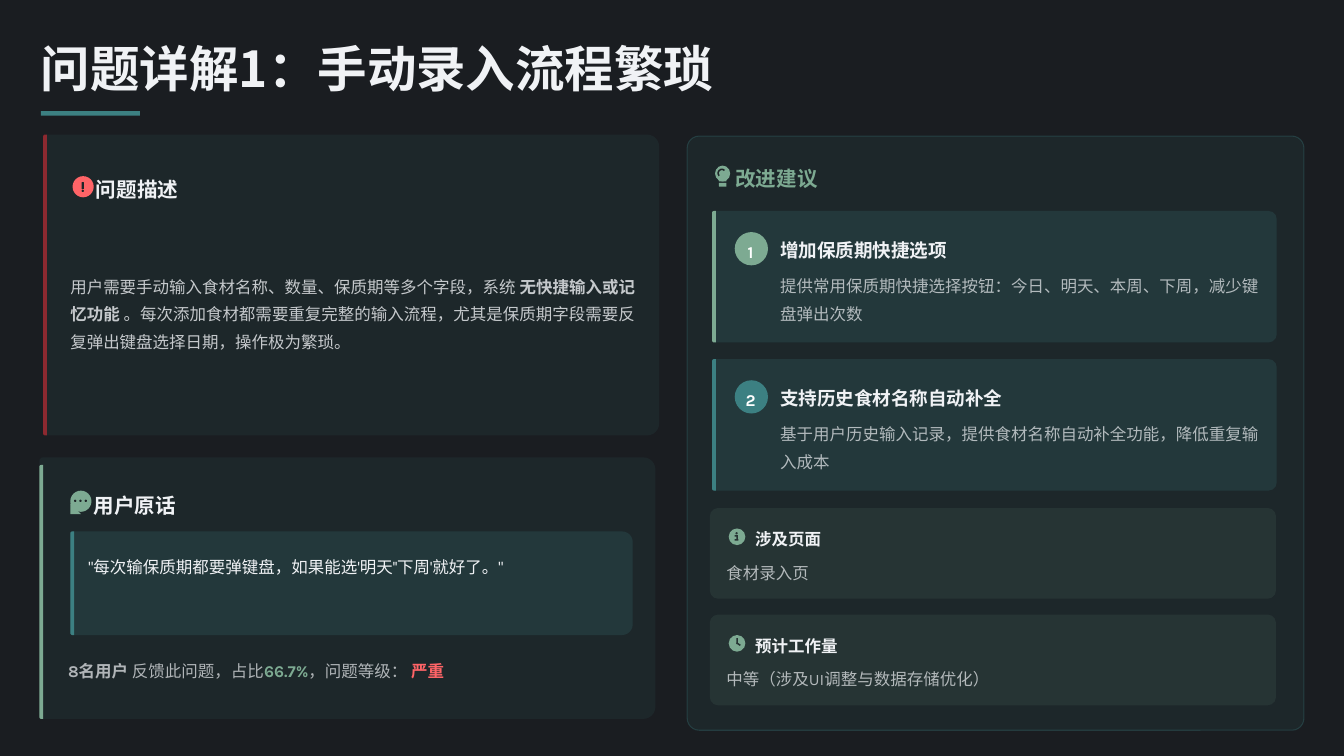
"""Build the slide on the tedious manual entry flow."""
import pptx
import pptx.util
import pptx.dml.color
import pptx.enum.shapes
import pptx.enum.text
import pptx.oxml.ns
from lxml import etree

KIND = pptx.enum.shapes.MSO_SHAPE
OVAL, RECT, ROUND = KIND.OVAL, KIND.RECTANGLE, KIND.ROUNDED_RECTANGLE
INK, TEAL, SAGE, RED, WHITE = "F0F2F5", "3C8082", "7DAA92", "FF6467", "FFFFFF"
DARK, MOSS = "1E2628", "263333"
SANS = "Noto Sans CJK SC"
BODY = 15.7

TITLE = "问题详解1：手动录入流程繁琐"
HEADS = [
    ("问题描述", 1.27, 2.27, 0.4, INK),
    ("用户原话", 1.24, 6.41, 0.47, INK),
    ("改进建议", 9.73, 2.14, 0.38, SAGE),
]
ISSUE = [
    ("用户需要手动输入食材名称、数量、保质期等多个字段，系统", INK, 80, False),
    (" 无快捷输入或记忆功能 ", INK, 80, True),
    ("。每次添加食材都需要重复完整的输入流程，尤其是保质期字段需要反复弹出键盘选择日期，操作极为繁琐。", INK, 80, False),
]
QUOTE = "\"每次输保质期都要弹键盘，如果能选'明天''下周'就好了。\""
STATS = [
    ("8名用户 ", INK, 70, True),
    ("反馈此问题，占比", INK, 70, False),
    ("66.7%", SAGE, 100, True),
    ("，问题等级：", INK, 70, False),
    (" 严重", RED, 100, True),
]
STEPS = [
    ("增加保质期快捷选项", "提供常用保质期快捷选择按钮：今日、明天、本周、下周，减少键盘弹出次数", SAGE),
    ("支持历史食材名称自动补全", "基于用户历史输入记录，提供食材名称自动补全功能，降低重复输入成本", TEAL),
]
INFO = [("涉及页面", "食材录入页"), ("预计工作量", "中等（涉及UI调整与数据存储优化）")]

ALERT = [
    (OVAL, 0, 0, 0.28, 0.28, RED, 0),
    (ROUND, 0.12, 0.08, 0.03, 0.09, DARK, 0),
    (OVAL, 0.12, 0.18, 0.03, 0.03, DARK, 0),
]
CHAT = [
    (KIND.RIGHT_TRIANGLE, 0, 0.17, 0.14, 0.14, SAGE, 0),
    (OVAL, 0, 0, 0.28, 0.28, SAGE, 0),
] + [(OVAL, 0.05 + 0.07 * n, 0.12, 0.03, 0.03, DARK, 0) for n in range(3)]
BULB = [
    (OVAL, 0, 0, 0.2, 0.21, SAGE, 0),
    (RECT, 0.05, 0.17, 0.1, 0.04, SAGE, 0),
    (KIND.ROUND_2_SAME_RECTANGLE, 0.05, 0.23, 0.1, 0.05, SAGE, 180),
    (KIND.BLOCK_ARC, 0.03, 0.04, 0.12, 0.12, DARK, -45),
]
NOTE = [
    (OVAL, 0, 0, 0.22, 0.22, SAGE, 0),
    (OVAL, 0.09, 0.05, 0.03, 0.03, MOSS, 0),
    (RECT, 0.08, 0.09, 0.04, 0.02, MOSS, 0),
    (RECT, 0.1, 0.09, 0.02, 0.06, MOSS, 0),
    (RECT, 0.08, 0.14, 0.05, 0.02, MOSS, 0),
]
CLOCK = [
    (OVAL, 0, 0, 0.22, 0.22, SAGE, 0),
    (RECT, 0.1, 0.04, 0.02, 0.08, MOSS, 0),
    (RECT, 0.1, 0.11, 0.06, 0.02, MOSS, 35),
]

deck = pptx.Presentation()
deck.slide_width = pptx.util.Inches(17.78)
deck.slide_height = pptx.util.Inches(10)
slide = deck.slides.add_slide(deck.slide_layouts[6])


def paint(fill, color, alpha=100):
    """Set a solid fill with an optional opacity in percent."""
    fill.solid()
    fill.fore_color.rgb = pptx.dml.color.RGBColor.from_string(color)
    if alpha < 100:
        node = next(fill._xPr.iter(pptx.oxml.ns.qn("a:srgbClr")))
        etree.SubElement(node, pptx.oxml.ns.qn("a:alpha")).set("val", str(alpha * 1000))


def put(kind, x, y, w, h, color, turn=0, alpha=100):
    """Add one flat shape."""
    box = [pptx.util.Inches(v) for v in (x, y, w, h)]
    shape = slide.shapes.add_shape(kind, *box)
    shape.shadow.inherit = False
    shape.rotation = turn
    shape.line.fill.background()
    paint(shape.fill, color, alpha)
    return shape


def card(x, y, w, h, color, alpha, right, left):
    """Add a panel with its own corner radius on each side."""
    shape = put(KIND.ROUND_2_SAME_RECTANGLE, x + (w - h) / 2, y + (h - w) / 2,
                h, w, color, 90, alpha)
    for n, size in enumerate((right, left)):
        shape.adjustments[n] = min(0.5, size / min(w, h))
    return shape


def bar(x, y, h, color, alpha=100):
    """Add the accent strip on the left edge of a panel."""
    card(x, y, 0.05, h, color, alpha, 0, 0.05)


def icon(parts, x, y):
    """Draw an icon from its parts."""
    for kind, dx, dy, w, h, color, turn in parts:
        shape = put(kind, x + dx, y + dy, w, h, color, turn)
        if kind == KIND.BLOCK_ARC:
            shape.adjustments[2] = 0.17


def write(runs, x, y, w, h, size=BODY, gap=1.3, font="Karla", mid=False):
    """Add a text box holding one paragraph of styled runs."""
    box = slide.shapes.add_textbox(*[pptx.util.Inches(v) for v in (x, y, w, h)])
    frame = box.text_frame
    frame.word_wrap = True
    frame.margin_left = frame.margin_right = frame.margin_top = frame.margin_bottom = 0
    frame.vertical_anchor = pptx.enum.text.MSO_ANCHOR.MIDDLE
    para = frame.paragraphs[0]
    para.line_spacing = gap
    if mid:
        para.alignment = pptx.enum.text.PP_ALIGN.CENTER
    for text, color, alpha, bold in runs:
        run = para.add_run()
        run.text = text
        run.font.size = pptx.util.Pt(size)
        run.font.bold = bold
        run.font.name = font
        paint(run.font.fill, color, alpha)
        east = etree.SubElement(run.font._element, pptx.oxml.ns.qn("a:ea"))
        east.set("typeface", SANS)


paint(slide.background.fill, "1A1D21")
write([(TITLE, INK, 100, True)], 0.54, 0.65, 17.01, 0.65, 47.1, 0.8, SANS)
put(RECT, 0.54, 1.47, 1.31, 0.06, TEAL)

card(0.57, 1.78, 8.15, 3.98, TEAL, 10, 0.16, 0.05)
bar(0.57, 1.78, 3.98, "FB2C36", 50)
icon(ALERT, 0.96, 2.33)
write(ISSUE, 0.93, 2.77, 7.57, 2.67, gap=1.4)

card(0.52, 6.05, 8.15, 3.46, TEAL, 10, 0.16, 0.05)
bar(0.52, 6.15, 3.36, SAGE)
icon(CHAT, 0.93, 6.49)
card(0.93, 7.03, 7.44, 1.37, TEAL, 20, 0.14, 0.05)
bar(0.93, 7.03, 1.37, TEAL)
write([(QUOTE, INK, 100, False)], 1.17, 7.25, 7.08, 0.38, gap=1.4)
write(STATS, 0.9, 8.6, 7.57, 0.47)

frame = card(9.09, 1.8, 8.16, 7.86, TEAL, 10, 0.16, 0.16)
paint(frame.line.fill, TEAL, 30)
frame.line.width = pptx.util.Pt(1)
icon(BULB, 9.46, 2.19)

for text, x, y, h, color in HEADS:
    write([(text, color, 100, True)], x, y, 7.26, h, 19.6, 1.2)

for n, (head, body, color) in enumerate(STEPS):
    y = 2.79 + 1.96 * n
    card(9.42, y, 7.47, 1.74, TEAL, 20, 0.11, 0.05)
    bar(9.42, y, 1.74, color)
    put(OVAL, 9.72, y + 0.28, 0.44, 0.44, color)
    write([(str(n + 1), WHITE, 100, True)], 9.66, y + 0.28, 0.54, 0.44, mid=True)
    write([(head, INK, 100, True)], 10.32, y + 0.28, 6.42, 0.38, 17.7)
    write([(body, INK, 70, False)], 10.32, y + 0.77, 6.4, 0.71, gap=1.4)

for n, ((head, body), parts) in enumerate(zip(INFO, (NOTE, CLOCK))):
    y = 6.72 + 1.41 * n
    card(9.39, y, 7.49, 1.2, SAGE, 10, 0.11, 0.11)
    icon(parts, 9.64, y + 0.27)
    write([(head, INK, 100, True)], 9.99, y + 0.21, 1.2, 0.33)
    write([(body, INK, 70, False)], 9.61, y + 0.65, 7.17, 0.33)

deck.save("out.pptx")
